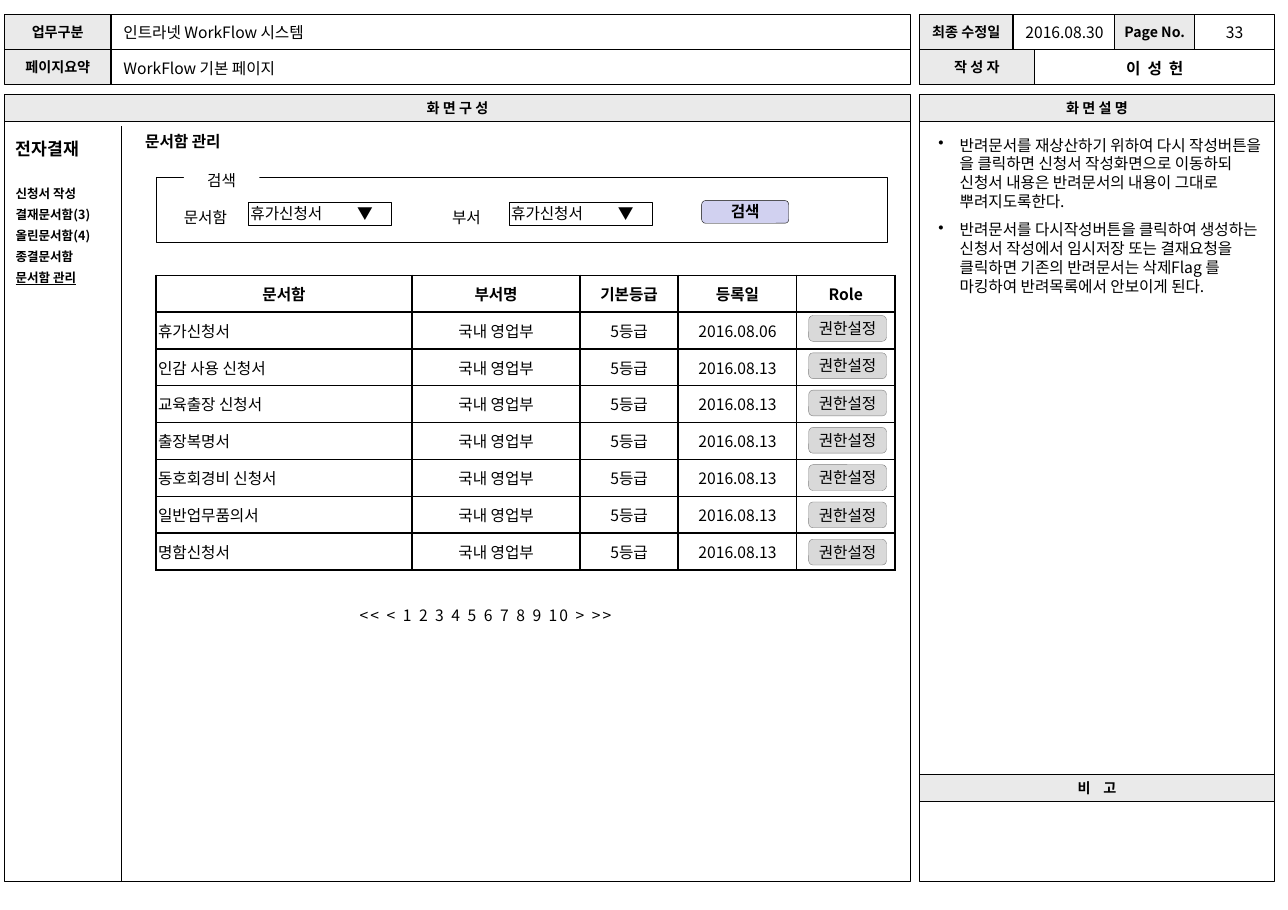
"""Build the document box page of a workflow screen design."""
from dataclasses import dataclass, replace
from typing import Any, NamedTuple, Optional

from lxml.etree import SubElement
from pptx import Presentation
from pptx.dml.color import RGBColor
from pptx.enum.shapes import MSO_CONNECTOR, MSO_SHAPE
from pptx.enum.text import MSO_ANCHOR, PP_ALIGN
from pptx.oxml.ns import qn
from pptx.util import Cm, Pt


@dataclass(frozen=True)
class Theme:
    face: str = "Noto Sans CJK KR"
    ink: str = "000000"
    head: str = "EAEAEA"
    paper: str = "FFFFFF"
    push: str = "D9D9D9"
    rim: str = "808080"
    find: str = "D1D1F0"
    tiny: int = 8
    small: int = 9
    base: int = 10
    large: int = 11


THEME = Theme()


@dataclass(frozen=True)
class Look:
    form: Optional[MSO_SHAPE] = MSO_SHAPE.RECTANGLE
    fill: str = ""
    edge: str = ""
    line: float = 0.75
    size: int = THEME.base
    bold: bool = False
    align: PP_ALIGN = PP_ALIGN.LEFT
    anchor: MSO_ANCHOR = MSO_ANCHOR.TOP
    wrap: bool = True
    pad: tuple[float, float] = (0.25, 0.13)
    lead: float = 1.0
    track: int = 0
    tab: float = 0
    dot: float = 0


class Para(NamedTuple):
    text: str
    size: int = 0
    under: bool = False
    gap: float = 0


class Box(NamedTuple):
    x: float
    y: float
    w: float
    h: float
    look: Look
    paras: tuple[Para, ...] = ()


MID, CENTER = MSO_ANCHOR.MIDDLE, PP_ALIGN.CENTER
FRAME = Look(edge=THEME.ink)
HEAD = replace(FRAME, fill=THEME.head, size=THEME.small, bold=True,
               align=CENTER, anchor=MID, wrap=False)
TEXT = Look(form=None)
FIELD = replace(TEXT, pad=(0.28, 0.13))
VALUE = replace(TEXT, align=CENTER, anchor=MID)
LABEL = replace(TEXT, lead=1.4)
THIN = replace(FRAME, line=0.25, pad=(0.05, 0.05))
PICK = replace(THIN, tab=2.4)
PUSH = replace(THIN, form=MSO_SHAPE.ROUNDED_RECTANGLE, fill=THEME.push,
               edge=THEME.rim, align=CENTER)
FIND = replace(PUSH, fill=THEME.find, edge=THEME.ink, bold=True, pad=(0.05, 0))
TAG = Look(fill=THEME.paper, align=CENTER, pad=(0.05, 0.05), lead=1.4)
CELL = Look(anchor=MID, pad=(0.05, 0.05))

LEFT, FIRST, MAIN, RIGHT, END = 0.1, 2.5, 20.5, 20.7, 28.7
TOP, ROW, BAR, BODY, FOOT = 0.33, 0.79, 2.13, 2.73, 19.86
NOTE, BAND = 17.45, 0.6
WIDE, SIDE = MAIN - LEFT, END - RIGHT
NEXT = TOP + ROW


def one(text: str) -> tuple[Para, ...]:
    return (Para(text),)


PANELS = (
    Box(LEFT, TOP, FIRST - LEFT, ROW, HEAD, one("업무구분")),
    Box(LEFT, NEXT, FIRST - LEFT, ROW, HEAD, one("페이지요약")),
    Box(FIRST, TOP, MAIN - FIRST, ROW, FRAME),
    Box(FIRST, NEXT, MAIN - FIRST, ROW, FRAME),
    Box(RIGHT, TOP, 2.11, ROW, HEAD, one("최종 수정일")),
    Box(22.81, TOP, 2.29, ROW, FRAME),
    Box(25.1, TOP, 1.8, ROW, HEAD, one("Page No.")),
    Box(26.9, TOP, 1.8, ROW, FRAME),
    Box(RIGHT, NEXT, 2.59, ROW, HEAD, one("작 성 자")),
    Box(23.29, NEXT, 5.41, ROW, FRAME),
    Box(LEFT, BAR, WIDE, BAND, HEAD, one("화 면 구 성")),
    Box(LEFT, BODY, WIDE, FOOT - BODY, FRAME),
    Box(RIGHT, BAR, SIDE, BAND, HEAD, one("화 면 설 명")),
    Box(RIGHT, BODY, SIDE, NOTE - BODY, FRAME),
    Box(RIGHT, NOTE, SIDE, BAND, replace(HEAD, track=300), one("비 고")),
    Box(RIGHT, NOTE + BAND, SIDE, FOOT - NOTE - BAND, FRAME),
)
MENU = (
    Para("전자결재", THEME.large), Para("신청서 작성", gap=13.4),
    Para("결재문서함(3)"), Para("올린문서함(4)"), Para("종결문서함"),
    Para("문서함 관리", under=True),
)
NOTES = (
    Para("반려문서를 재상산하기 위하여 다시 작성버튼을 을 클릭하면 신청서 작성화면으로 "
         "이동하되 신청서 내용은 반려문서의 내용이 그대로 뿌려지도록한다.", gap=6),
    Para("반려문서를 다시작성버튼을 클릭하여 생성하는 신청서 작성에서 임시저장 또는 "
         "결재요청을 클릭하면 기존의 반려문서는 삭제Flag 를 마킹하여 반려목록에서 "
         "안보이게 된다.", gap=6),
)
WORDS = (
    Box(FIRST, 0.38, 9.04, 0.71, FIELD, one("인트라넷 WorkFlow 시스템")),
    Box(FIRST, 1.19, 9.04, 0.71, FIELD, one("WorkFlow 기본 페이지")),
    Box(22.81, 0.38, 2.44, 0.71, FIELD, one("2016.08.30")),
    Box(26.9, 0.38, 1.8, 0.69, VALUE, one("33")),
    Box(23.5, 1.19, 5, 0.69, replace(VALUE, bold=True, track=110), one("이 성 헌")),
    Box(21.13, 3.05, 7.44, 4.06, replace(TEXT, pad=(0, 0), dot=0.48), NOTES),
    Box(LEFT, 2.79, 2.31, 3.78,
        replace(LABEL, size=THEME.tiny, bold=True, wrap=False), MENU),
    Box(3.02, 2.84, 2.39, 0.69, replace(TEXT, bold=True, wrap=False), one("문서함 관리")),
    Box(7.85, 13.34, 7.9, 0.86, replace(LABEL, wrap=False, track=130),
        one("<< < 1 2 3 4 5 6 7 8 9 10 > >>")),
)
SEARCH = (
    Box(3.51, 3.99, 16.46, 1.47, THIN),
    Box(3.89, 4.39, 1.7, 0.86, LABEL, one("문서함")),
    Box(5.59, 4.55, 3.23, 0.53, PICK, one("휴가신청서\t▼")),
    Box(9.93, 4.39, 1.27, 0.86, LABEL, one("부서")),
    Box(11.46, 4.55, 3.23, 0.53, PICK, one("휴가신청서\t▼")),
    Box(15.8, 4.52, 1.96, 0.51, FIND, one("검색")),
    Box(4.14, 3.63, 1.7, 0.71, TAG, one("검색")),
)
HEADS = ("문서함", "부서명", "기본등급", "등록일", "Role")
FORMS = ("휴가신청서", "인감 사용 신청서", "교육출장 신청서", "출장복명서",
         "동호회경비 신청서", "일반업무품의서", "명함신청서")
DATES = ("2016.08.06",) + ("2016.08.13",) * 6
COLS = (5.77, 3.78, 2.21, 2.67, 2.21)
DEEP = 0.83
KEYS = tuple(Box(18.21, 7.11 + 0.84 * i, 1.75, 0.58, PUSH, one("권한설정"))
             for i in range(len(FORMS)))


def put(item: Any, vals: dict[str, Any]) -> None:
    for key, val in vals.items():
        setattr(item, key, val)


def tint(code: str) -> RGBColor:
    return RGBColor.from_string(code)


def write(frame: Any, look: Look, paras: tuple[Para, ...]) -> None:
    for i, para in enumerate(paras):
        part = frame.add_paragraph() if i else frame.paragraphs[0]
        put(part, {"alignment": look.align, "line_spacing": look.lead,
                   "space_before": Pt(para.gap)})
        props = part._p.get_or_add_pPr()
        if look.dot:
            props.set("marL", str(Cm(look.dot)))
            props.set("indent", str(-Cm(look.dot)))
            SubElement(props, qn("a:buChar")).set("char", "•")
        if look.tab:
            stops = SubElement(props, qn("a:tabLst"))
            stop = SubElement(stops, qn("a:tab"))
            stop.set("pos", str(Cm(look.tab)))
            stop.set("algn", "l")
        size = Pt(para.size or look.size)
        if not para.text:
            part._p.get_or_add_endParaRPr().set("sz", str(int(size.pt * 100)))
            continue
        run = part.add_run()
        run.text = para.text
        put(run.font, {"name": THEME.face, "size": size, "bold": look.bold,
                       "underline": para.under})
        run.font.color.rgb = tint(THEME.ink)
        mark = run._r.get_or_add_rPr()
        SubElement(mark, qn("a:ea")).set("typeface", THEME.face)
        if look.track:
            mark.set("spc", str(look.track))


def pads(look: Look) -> dict[str, Any]:
    wide, high = map(Cm, look.pad)
    return {"margin_left": wide, "margin_right": wide, "margin_top": high,
            "margin_bottom": high, "vertical_anchor": look.anchor}


def draw(tree: Any, box: Box) -> None:
    look, place = box.look, [Cm(n) for n in box[:4]]
    if look.form is None:
        item = tree.add_textbox(*place)
    else:
        item = tree.add_shape(look.form, *place)
        item.shadow.inherit = False
        for paint, code in ((item.fill, look.fill), (item.line.fill, look.edge)):
            if code:
                paint.solid()
                paint.fore_color.rgb = tint(code)
            else:
                paint.background()
        if look.edge:
            item.line.width = Pt(look.line)
    put(item.text_frame, {**pads(look), "word_wrap": look.wrap})
    write(item.text_frame, look, box.paras)


def rule(tree: Any, x: float, top: float, end: float) -> None:
    line = tree.add_connector(MSO_CONNECTOR.STRAIGHT, Cm(x), Cm(top), Cm(x), Cm(end))
    put(line.line, {"width": Pt(0.75)})
    line.line.color.rgb = tint(THEME.ink)
    SubElement(line._element.spPr, qn("a:effectLst"))


def fence(cell: Any) -> None:
    props = cell._tc.get_or_add_tcPr()
    for side in ("a:lnL", "a:lnR", "a:lnT", "a:lnB"):
        edge = SubElement(props, qn(side))
        edge.set("w", str(Pt(1)))
        SubElement(SubElement(edge, qn("a:solidFill")), qn("a:srgbClr")).set("val", THEME.ink)


def grid(tree: Any) -> None:
    rows = [HEADS] + [(form, "국내 영업부", "5등급", date, "")
                      for form, date in zip(FORMS, DATES)]
    table = tree.add_table(len(rows), len(COLS), Cm(3.51), Cm(6.2),
                           Cm(sum(COLS)), Cm(DEEP * len(rows))).table
    put(table, {"first_row": False, "horz_banding": False})
    for col, wide in zip(table.columns, COLS):
        col.width = Cm(wide)
    for r, row in enumerate(rows):
        table.rows[r].height = Cm(DEEP)
        for c, text in enumerate(row):
            cell = table.cell(r, c)
            put(cell, pads(CELL))
            fence(cell)
            cell.fill.background()
            side = PP_ALIGN.LEFT if r and not c else CENTER
            write(cell.text_frame, replace(CELL, bold=not r, align=side), one(text))


def main() -> None:
    deck = Presentation()
    put(deck, {"slide_width": Cm(29), "slide_height": Cm(20.5)})
    tree = deck.slides.add_slide(deck.slide_layouts[6]).shapes
    for box in PANELS + WORDS:
        draw(tree, box)
    rule(tree, 2.74, 2.84, FOOT)
    grid(tree)
    for box in KEYS + SEARCH:
        draw(tree, box)
    deck.save("out.pptx")


if __name__ == "__main__":
    main()
